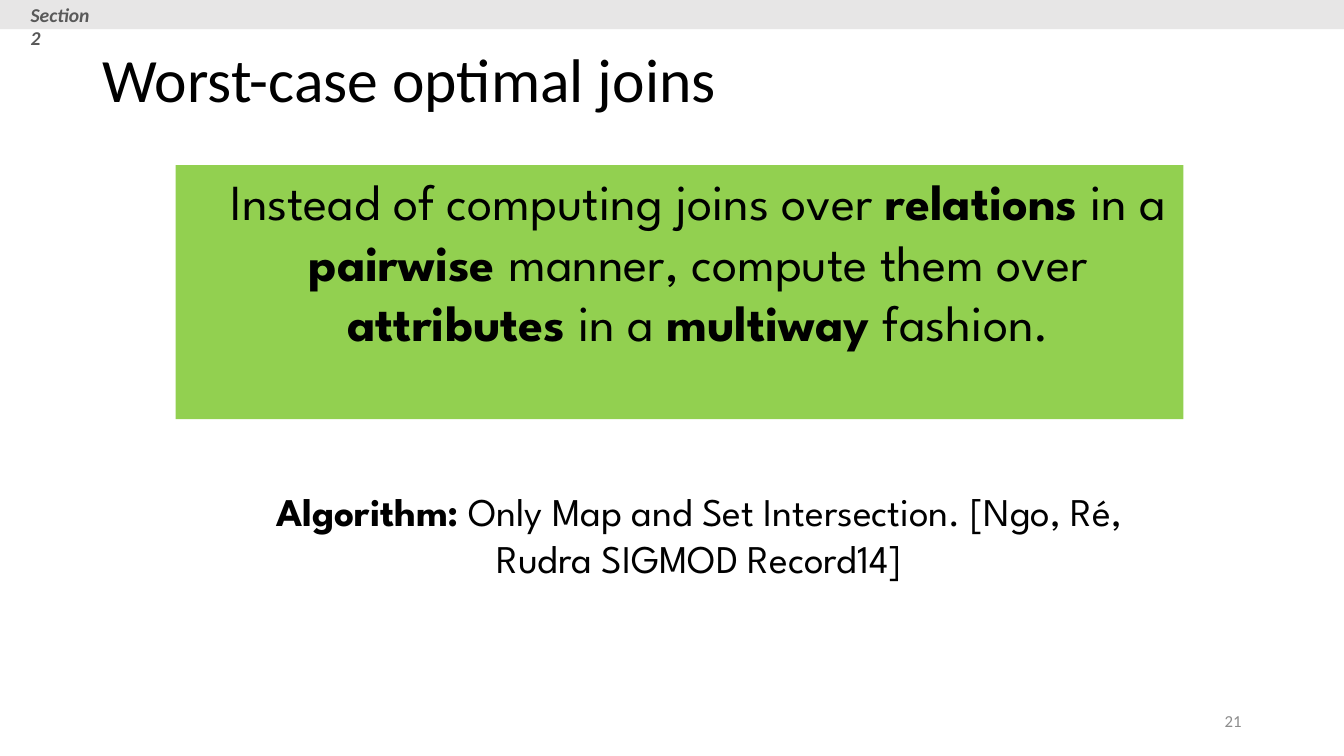
"""Build the slide on worst-case optimal joins."""
from pptx import Presentation
from pptx.dml.color import RGBColor
from pptx.enum.shapes import MSO_SHAPE
from pptx.enum.text import MSO_ANCHOR, PP_ALIGN
from pptx.util import Pt


def color(hex_string):
    return RGBColor.from_string(hex_string)


class SlideBuilder:
    heading_font = "Calibri"
    body_font = "League Spartan"
    ink = "000000"

    def __init__(self, slide):
        self.slide = slide

    def fill_paragraph(self, paragraph, runs, size, font, ink=ink, align=None):
        for text, bold in runs:
            run = paragraph.add_run()
            run.text = text
            if len(runs) > 1:
                run.font.bold = bold
        if len(runs) == 1:
            paragraph.font.bold = runs[0][1]
        paragraph.alignment = align
        paragraph.font.size = Pt(size)
        paragraph.font.name = font
        paragraph.font.color.rgb = color(ink)

    def title(self, text, left, top, width, height):
        heading = self.slide.shapes.title
        heading.left, heading.top = Pt(left), Pt(top)
        heading.width, heading.height = Pt(width), Pt(height)
        frame = heading.text_frame
        frame.word_wrap = True
        frame.vertical_anchor = MSO_ANCHOR.MIDDLE
        paragraph = frame.paragraphs[0]
        self.fill_paragraph(paragraph, [(text, False)], 44, self.heading_font,
                            align=PP_ALIGN.LEFT)
        paragraph.line_spacing = 0.9

    def panel(self, left, top, width, height, fill):
        shape = self.slide.shapes.add_shape(
            MSO_SHAPE.RECTANGLE, Pt(left), Pt(top), Pt(width), Pt(height))
        shape.shadow.inherit = False
        shape.fill.solid()
        shape.fill.fore_color.rgb = color(fill)
        shape.line.fill.background()
        return shape.text_frame

    def text_box(self, left, top, width, height):
        box = self.slide.shapes.add_textbox(Pt(left), Pt(top), Pt(width), Pt(height))
        return box.text_frame

    def statement(self, frame, runs, size):
        frame.word_wrap = True
        frame.vertical_anchor = MSO_ANCHOR.TOP
        paragraph = frame.paragraphs[0]
        paragraph.level = 1
        properties = paragraph._p.get_or_add_pPr()
        properties.set("marL", str(Pt(27)))
        properties.set("indent", "0")
        self.fill_paragraph(paragraph, runs, size, self.body_font, align=PP_ALIGN.CENTER)

    def label(self, frame, text, size, ink, align, emphasis=False):
        frame.word_wrap = True
        paragraph = frame.paragraphs[0]
        self.fill_paragraph(paragraph, [(text, emphasis)], size, self.heading_font, ink, align)
        paragraph.font.italic = emphasis


def main():
    deck = Presentation()
    deck.slide_width, deck.slide_height = Pt(960), Pt(540)
    builder = SlideBuilder(deck.slides.add_slide(deck.slide_layouts[5]))

    page_number = builder.text_box(678, 500.5, 216, 28.75)
    page_number.vertical_anchor = MSO_ANCHOR.MIDDLE
    builder.label(page_number, "21", 12, "8C8C8C", PP_ALIGN.RIGHT)

    builder.panel(0, 0, 960, 20.9, "E7E6E6")
    section = builder.text_box(14.8, -1.5, 66, 24.2)
    builder.label(section, "Section 2", 14, "595959", PP_ALIGN.LEFT, emphasis=True)

    builder.title("Worst-case optimal joins", 66, 6.5, 870, 104.4)

    key_idea = builder.panel(125.4, 118, 720, 181.4, "92D050")
    builder.statement(key_idea, [
        ("Instead of computing joins over ", False), ("relations", True),
        (" in a ", False), ("pairwise ", True),
        ("manner, compute them over ", False), ("attributes", True),
        (" in a ", False), ("multiway ", True), ("fashion.", False),
    ], 36)

    algorithm = builder.text_box(160, 344.2, 651.6, 75)
    builder.statement(algorithm, [
        ("Algorithm:", True),
        (" Only Map and Set Intersection. [Ngo, Ré, Rudra SIGMOD Record14]", False),
    ], 28)

    deck.save("out.pptx")


if __name__ == "__main__":
    main()
